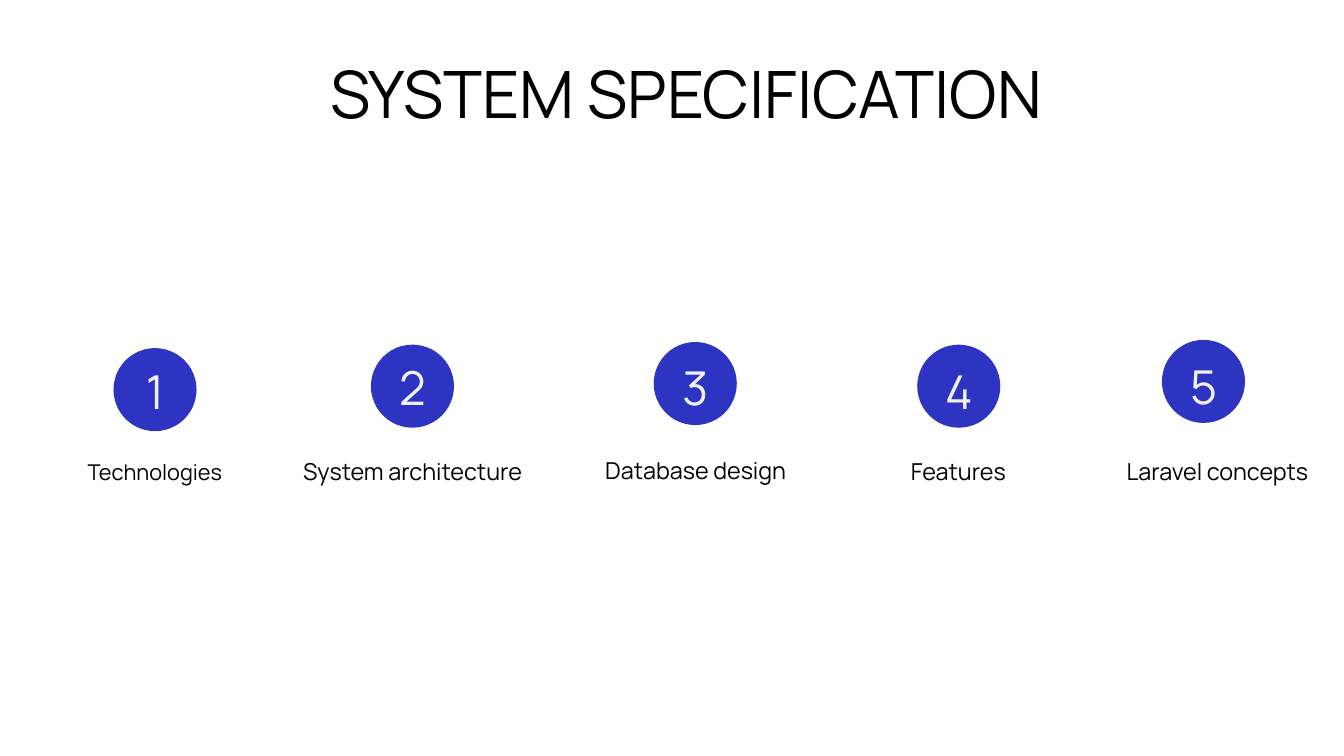
from typing import NamedTuple

from pptx import Presentation
from pptx.dml.color import RGBColor
from pptx.enum.shapes import MSO_SHAPE
from pptx.enum.text import PP_ALIGN
from pptx.util import Cm, Pt

OVAL = MSO_SHAPE.OVAL
CENTER = PP_ALIGN.CENTER
FONT = "Manrope"
BLACK, BLUE, PALE = "000000", "2E34C2", "F1F1F1"
BADGE_SIZE = 3.14


class Topic(NamedTuple):
    """A numbered topic, with positions in centimetres."""
    label: str
    badge_left: float
    badge_top: float
    number_top: float
    label_left: float
    label_top: float
    label_width: float
    label_size: float


TOPICS = [
    Topic("Technologies", 4.29, 13.16, 13.08, 0, 17.42, 11.71, 23.3),
    Topic("System architecture", 14.02, 13.03, 12.93, 9.32, 17.37, 12.55, 25),
    Topic("Database design", 24.71, 12.93, 12.9, 20.02, 17.32, 12.55, 25),
    Topic("Features", 34.67, 13.03, 13.06, 29.95, 17.37, 12.55, 25),
    Topic("Laravel concepts", 43.92, 12.85, 12.88, 41.99, 17.37, 8.05, 25),
]


def rgb(hex_color):
    """Turn a hex string into a colour."""
    return RGBColor.from_string(hex_color)


def add_text(slide, text, left, top, width, height, size, color, spacing):
    """Add one centred line of text in a box without margins."""
    box = slide.shapes.add_textbox(Cm(left), Cm(top), Cm(width), Cm(height))
    frame = box.text_frame
    frame.word_wrap = True
    frame.margin_left = frame.margin_right = 0
    frame.margin_top = frame.margin_bottom = 0
    paragraph = frame.paragraphs[0]
    paragraph.text = text
    paragraph.alignment = CENTER
    paragraph.line_spacing = Pt(spacing)
    paragraph.font.name = FONT
    paragraph.font.size = Pt(size)
    paragraph.font.color.rgb = rgb(color)


def add_badge(slide, left, top):
    """Add a plain blue disc."""
    disc = slide.shapes.add_shape(
        OVAL, Cm(left), Cm(top), Cm(BADGE_SIZE), Cm(BADGE_SIZE))
    disc.shadow.inherit = False
    disc.fill.solid()
    disc.fill.fore_color.rgb = rgb(BLUE)
    disc.line.fill.background()


def add_topic(slide, number, topic):
    """Add a numbered badge with its label below."""
    add_badge(slide, topic.badge_left, topic.badge_top)
    add_text(slide, str(number), topic.badge_left, topic.number_top,
             BADGE_SIZE, 2.72, 50, PALE, 78.5)
    add_text(slide, topic.label, topic.label_left, topic.label_top,
             topic.label_width, 1.04, topic.label_size, BLACK,
             topic.label_size * 1.1)


def main():
    """Build the slide and save it."""
    deck = Presentation()
    deck.slide_width, deck.slide_height = Cm(50.8), Cm(28.58)
    slide = deck.slides.add_slide(deck.slide_layouts[6])
    add_text(slide, "SYSTEM SPECIFICATION", 11.71, 2.03, 28.47, 3.1,
             70, BLACK, 84)
    for number, topic in enumerate(TOPICS, start=1):
        add_topic(slide, number, topic)
    deck.save("out.pptx")


if __name__ == "__main__":
    main()
